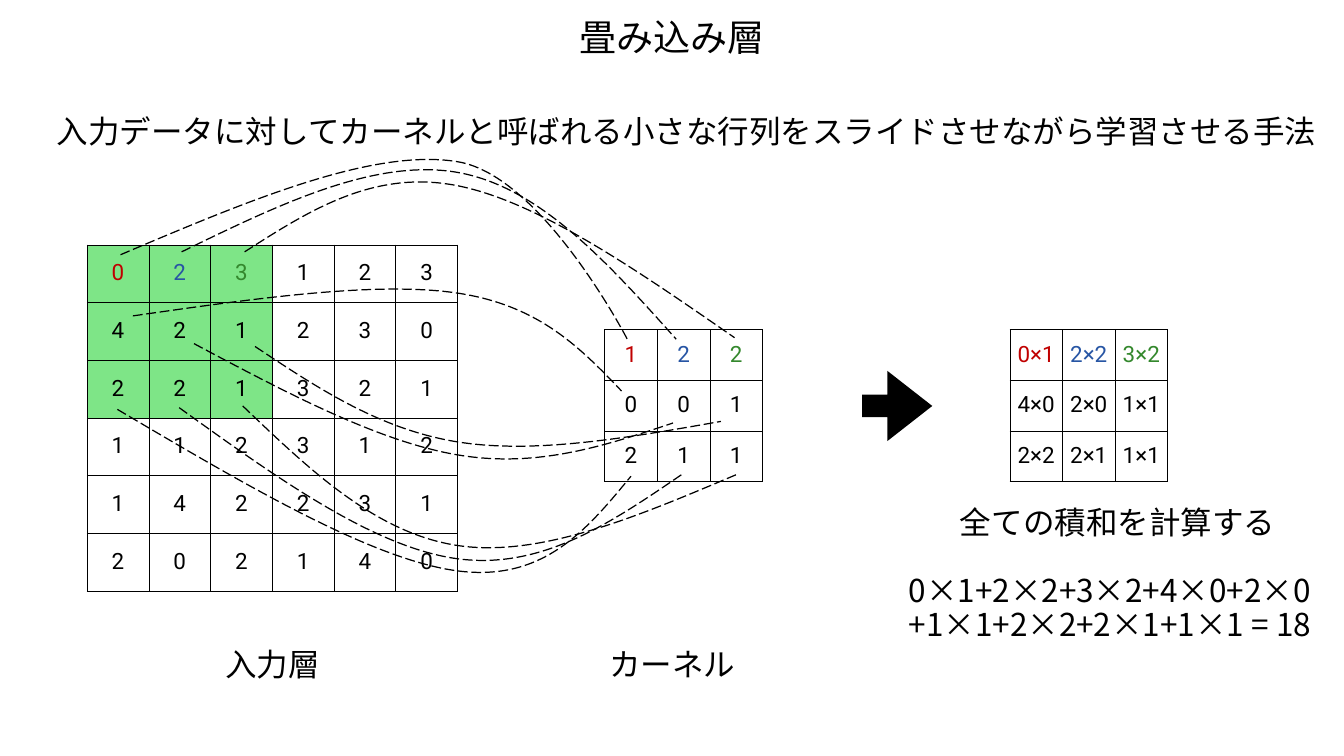
from collections import namedtuple

from lxml.etree import SubElement
from pptx import Presentation
from pptx.dml.color import RGBColor
from pptx.enum.dml import MSO_LINE_DASH_STYLE as Dash
from pptx.enum.shapes import MSO_SHAPE as Preset
from pptx.enum.text import MSO_ANCHOR as Anchor, MSO_AUTO_SIZE as AutoSize, PP_ALIGN as Align
from pptx.oxml.ns import qn
from pptx.util import Inches, Pt

# The slide is a grid of one-inch columns and rows.
COLUMNS, ROWS = 26.67, 15
COLORS = {"ink": "000000", "window": "7EE587",
          "red": "C00000", "blue": "2755A4", "green": "34882D"}
TOP_ROW_COLORS = ["red", "blue", "green"]
SANS, DIGITS = "Noto Sans CJK JP", "Roboto"
INSET = Inches(0.06)
CURVE_STEPS = 40

Box = namedtuple("Box", "left top width height")

INPUT = ["023123", "421230", "221321", "112312", "142231", "202140"]
KERNEL = ["122", "001", "211"]
KERNEL_SIZE = len(KERNEL)
PRODUCTS = [[f"{INPUT[r][c]}×{KERNEL[r][c]}" for c in range(KERNEL_SIZE)]
            for r in range(KERNEL_SIZE)]

# start, pull and bend in input cells; end in kernel cells
LINKS = [
    ((0.54, 0.17), (4.64, -1.69), (6.01, -1.44), (0.43, 0.19)),
    ((1.53, 0.12), (4.64, -1.5), (5.98, -1.26), (1.36, 0.19)),
    ((2.55, 0.12), (4.61, -1.29), (5.93, -1.04), (2.47, 0.16)),
    ((0.49, 2.85), (4.62, 5.46), (6.01, 5.65), (0.5, 2.89)),
    ((1.49, 2.82), (4.65, 5.25), (6.01, 5.44), (1.46, 2.86)),
    ((2.52, 2.79), (4.68, 5.0), (6.01, 5.21), (2.5, 2.86)),
    ((0.74, 1.23), (4.72, 0.62), (6.03, 0.84), (0.32, 1.21)),
    ((1.73, 1.71), (4.72, 3.41), (6.01, 3.64), (1.3, 1.84)),
    ((2.72, 1.76), (4.73, 3.19), (5.98, 3.41), (2.21, 1.81)),
]


def rgb(name):
    return RGBColor.from_string(COLORS[name])


def emu(box):
    return [Inches(length) for length in box]


def write(frame, text, size=45, font=SANS, color="ink", align=Align.LEFT):
    frame.text = text
    for paragraph in frame.paragraphs:
        paragraph.alignment = align
        paragraph.line_spacing = 0.9
        for run in paragraph.runs:
            run.font.size = Pt(size)
            run.font.name = font
            run.font.color.rgb = rgb(color)
            SubElement(run.font._element, qn("a:ea"), typeface=font)


def add_label(slide, box, text, **text_format):
    frame = slide.shapes.add_textbox(*emu(box)).text_frame
    frame.margin_left = frame.margin_right = INSET
    frame.margin_top = frame.margin_bottom = INSET
    frame.vertical_anchor = Anchor.MIDDLE
    frame.word_wrap = False
    frame.auto_size = AutoSize.SHAPE_TO_FIT_TEXT
    write(frame, text, **text_format)


def add_borders(cell):
    properties = cell._tc.get_or_add_tcPr()
    for side in ("lnL", "lnR", "lnT", "lnB"):
        border = SubElement(properties, qn(f"a:{side}"), w=str(Pt(1)))
        fill = SubElement(border, qn("a:solidFill"))
        SubElement(fill, qn("a:srgbClr"), val=COLORS["ink"])


def add_matrix(slide, box, values, window=0):
    """Draw a square matrix whose first window rows and columns are shaded."""
    size = len(values)
    table = slide.shapes.add_table(size, size, *emu(box)).table
    table.first_row = table.horz_banding = False
    for column in table.columns:
        column.width = Inches(box.width / size)
    for r, row in enumerate(values):
        table.rows[r].height = Inches(box.height / size)
        for c, value in enumerate(row):
            cell = table.cell(r, c)
            cell.margin_left = cell.margin_right = INSET
            cell.margin_top = cell.margin_bottom = INSET
            cell.vertical_anchor = Anchor.MIDDLE
            add_borders(cell)
            if max(r, c) < window:
                cell.fill.solid()
                cell.fill.fore_color.rgb = rgb("window")
            else:
                cell.fill.background()
            colored = r == 0 and c < len(TOP_ROW_COLORS)
            write(cell.text_frame, value, size=32, font=DIGITS, align=Align.CENTER,
                  color=TOP_ROW_COLORS[c] if colored else "ink")


def in_cells(box, size, point):
    return (Inches(box.left + point[0] * box.width / size),
            Inches(box.top + point[1] * box.height / size))


def midpoint(a, b):
    return tuple((p + q) / 2 for p, q in zip(a, b))


def bezier(t, *points):
    weights = ((1 - t) ** 3, 3 * t * (1 - t) ** 2, 3 * t * t * (1 - t), t ** 3)
    return tuple(sum(w * v for w, v in zip(weights, axis)) for axis in zip(*points))


def add_curve(slide, start, pull, bend, end, straight_in=False):
    """Draw a dashed curve that passes smoothly through bend."""
    push = tuple(2 * b - p for b, p in zip(bend, pull))
    arcs = [(start, midpoint(start, pull), pull, bend),
            (bend, push, end if straight_in else midpoint(push, end), end)]
    # Sampled points give the exact bounds, then true arcs replace them.
    samples = [bezier(i / CURVE_STEPS, *arc) for arc in arcs
               for i in range(1, CURVE_STEPS + 1)]
    builder = slide.shapes.build_freeform(*start)
    builder.add_line_segments(samples, close=False)
    curve = builder.convert_to_shape()
    outline = curve._element.find(f".//{qn('a:path')}")
    for segment in outline.findall(qn("a:lnTo")):
        outline.remove(segment)
    for arc in arcs:
        segment = SubElement(outline, qn("a:cubicBezTo"))
        for x, y in arc[1:]:
            SubElement(segment, qn("a:pt"), x=str(round(x - curve.left)),
                       y=str(round(y - curve.top)))
    curve.shadow.inherit = False
    curve.fill.background()
    curve.line.color.rgb = rgb("ink")
    curve.line.width = Pt(1.75)
    curve.line.dash_style = Dash.LONG_DASH


def add_links(slide, input_box, kernel_box):
    for i, (*input_points, end) in enumerate(LINKS):
        route = [in_cells(input_box, len(INPUT), point) for point in input_points]
        add_curve(slide, *route, in_cells(kernel_box, KERNEL_SIZE, end),
                  straight_in=i == 0)


def add_arrow(slide, box):
    arrow = slide.shapes.add_shape(Preset.RIGHT_ARROW, *emu(box))
    arrow.adjustments[0], arrow.adjustments[1] = 0.32, 0.64
    arrow.shadow.inherit = False
    arrow.fill.solid()
    arrow.fill.fore_color.rgb = rgb("ink")
    arrow.line.fill.background()


def add_heading(slide):
    add_label(slide, Box(11.42, 0.33, 3.83, 0.91), "畳み込み層",
              size=53, align=Align.CENTER)
    add_label(slide, Box(1.07, 2.24, 25.36, 0.79),
              "入力データに対してカーネルと呼ばれる小さな行列をスライドさせながら学習させる手法")


def add_result(slide, box):
    add_matrix(slide, box, PRODUCTS)
    add_label(slide, Box(box.left - 1.05, box.top + 3.46, 6.42, 0.79),
              "全ての積和を計算する")
    add_label(slide, Box(box.left - 2.07, box.top + 4.81, 8.46, 1.48),
              "0×1+2×2+3×2+4×0+2×0\n+1×1+2×2+2×1+1×1 = 18")


def main():
    deck = Presentation()
    deck.slide_width, deck.slide_height = Inches(COLUMNS), Inches(ROWS)
    slide = deck.slides.add_slide(deck.slide_layouts[6])
    input_box = Box(1.73, 4.86, 7.35, 6.87)
    kernel_box = Box(12, 6.54, 3.13, 3.02)

    add_heading(slide)
    add_matrix(slide, input_box, INPUT, window=KERNEL_SIZE)
    add_matrix(slide, kernel_box, KERNEL)
    add_label(slide, Box(4.41, 12.83, 2.01, 0.79), "入力層")
    add_label(slide, Box(12.03, 12.83, 2.64, 0.79), "カーネル")
    add_arrow(slide, Box(17.11, 7.36, 1.39, 1.39))
    add_result(slide, kernel_box._replace(left=20.04))
    add_links(slide, input_box, kernel_box)
    deck.save("out.pptx")


if __name__ == "__main__":
    main()
